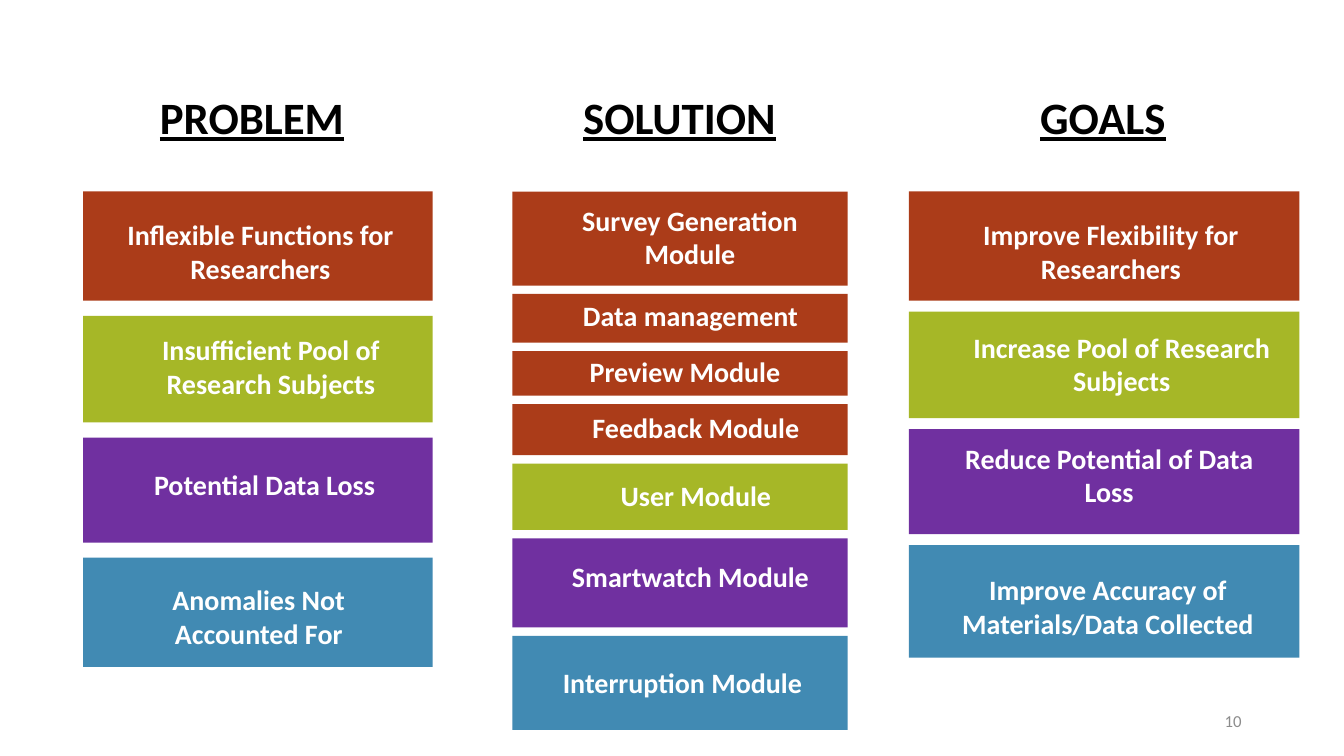
from collections import namedtuple

from pptx import Presentation
from pptx.dml.color import RGBColor
from pptx.enum.shapes import MSO_SHAPE
from pptx.enum.text import MSO_ANCHOR as Anchor, MSO_AUTO_SIZE as AutoSize, PP_ALIGN as Align
from pptx.util import Inches

from pptx.util import Pt

CELL = 1 / 12  # inches; the slide is a grid of 160 columns by 90 rows
COLORS = {
    "rust": "AB3C19", "lime": "A6B727", "purple": "7030A0", "blue": "418AB3",
    "white": "FFFFFF", "black": "000000", "gray": "8C8C8C",
}
HEADING_TOP, HEADING_COLS, HEADING_ROWS = 10.1, 46.6, 7.7
CARDS_TOP = 22.8

# A label's column and row are counted from the corner of its card.
Card = namedtuple("Card", "wording color rows label_col label_row label_cols label_rows")
Column = namedtuple("Column", "heading heading_col col cols gap cards")

COLUMNS = [
    Column("PROBLEM", 6.7, 9.9, 41.6, 1.8, [
        Card("Inflexible Functions for Researchers", "rust", 13, 3.6, 3.1, 35, 8),
        Card("Insufficient Pool of Research Subjects", "lime", 12.7, 3.1, 2, 38.5, 8),
        Card("Potential Data Loss", "purple", 12.5, 4, 3.5, 35.2, 4),
        Card("Anomalies Not Accounted For", "blue", 13, 3.1, 3, 35.6, 8),
    ]),
    Column("SOLUTION", 57.6, 61, 39.9, 1, [
        Card("Survey Generation Module", "rust", 11.2, 5.8, 1.4, 30.7, 8),
        Card("Data management", "rust", 5.8, 7.8, 0.5, 26.8, 4),
        Card("Preview Module", "rust", 5.3, 4.7, 0.8, 31.7, 3.1),
        Card("Feedback Module", "rust", 6.1, 6, 1.4, 31.7, 2.8),
        Card("User Module", "lime", 7.9, 6, 1.8, 31.7, 4),
        Card("Smartwatch Module", "purple", 10.6, 4.7, 2.5, 33, 4),
        Card("Interruption Module", "blue", 11.2, 3.8, 3.5, 32.9, 4),
    ]),
    Column("GOALS", 108, 108.2, 46.5, 1.3, [
        Card("Improve Flexibility for Researchers", "rust", 13, 4.8, 3.1, 38.5, 8),
        Card("Increase Pool of Research Subjects", "lime", 12.7, 4.1, 2.2, 42.5, 8),
        Card("Reduce Potential of Data Loss", "purple", 12.5, 3.8, 1.4, 40.1, 8),
        Card("Improve Accuracy of Materials/Data Collected", "blue", 13.4, 4, 3.1, 39.4, 8.4),
    ]),
]


def grid(*cells):
    return [Inches(count * CELL) for count in cells]


def write(holder, wording, *, size, color, bold=False, underline=False,
          align=Align.CENTER, anchor=Anchor.MIDDLE, inset=None):
    frame = holder.text_frame
    frame.word_wrap = True
    frame.auto_size = AutoSize.NONE
    frame.vertical_anchor = anchor
    if inset is not None:
        frame.margin_left = frame.margin_right = Inches(inset)
        frame.margin_top = frame.margin_bottom = Inches(inset)
    line = frame.paragraphs[0]
    line.alignment = align
    run = line.add_run()
    run.text = wording
    font = run.font
    font.name, font.size = "Calibri", Pt(size)
    font.bold, font.underline = bold, underline
    font.color.rgb = RGBColor.from_string(COLORS[color])


def add_heading(slide, column):
    """The first heading takes the title placeholder; the others are text boxes."""
    area = grid(column.heading_col, HEADING_TOP, HEADING_COLS, HEADING_ROWS)
    if column is COLUMNS[0]:
        heading = slide.shapes.title
        heading.left, heading.top, heading.width, heading.height = area
    else:
        heading = slide.shapes.add_textbox(*area)
    write(heading, column.heading, size=32, color="black", bold=True,
          underline=True, anchor=Anchor.TOP)


def add_card(slide, card, col, row, cols):
    group = slide.shapes.add_group_shape()
    panel = group.shapes.add_shape(MSO_SHAPE.RECTANGLE, *grid(col, row, cols, card.rows))
    panel.shadow.inherit = False
    panel.fill.solid()
    panel.fill.fore_color.rgb = RGBColor.from_string(COLORS[card.color])
    panel.line.fill.background()
    label = group.shapes.add_textbox(*grid(
        col + card.label_col, row + card.label_row, card.label_cols, card.label_rows))
    write(label, card.wording, size=20, color="white", bold=True, inset=0)


def add_column(slide, column):
    add_heading(slide, column)
    row = CARDS_TOP
    for card in column.cards:
        add_card(slide, card, column.col, row, column.cols)
        row += card.rows + column.gap


def main():
    deck = Presentation()
    deck.slide_width, deck.slide_height = grid(160, 90)
    slide = deck.slides.add_slide(deck.slide_layouts[5])
    for column in COLUMNS:
        add_column(slide, column)
    page_number = slide.shapes.add_textbox(*grid(113, 83.4, 36, 4.8))
    write(page_number, "10", size=12, color="gray", align=Align.RIGHT)
    deck.save("out.pptx")


if __name__ == "__main__":
    main()
